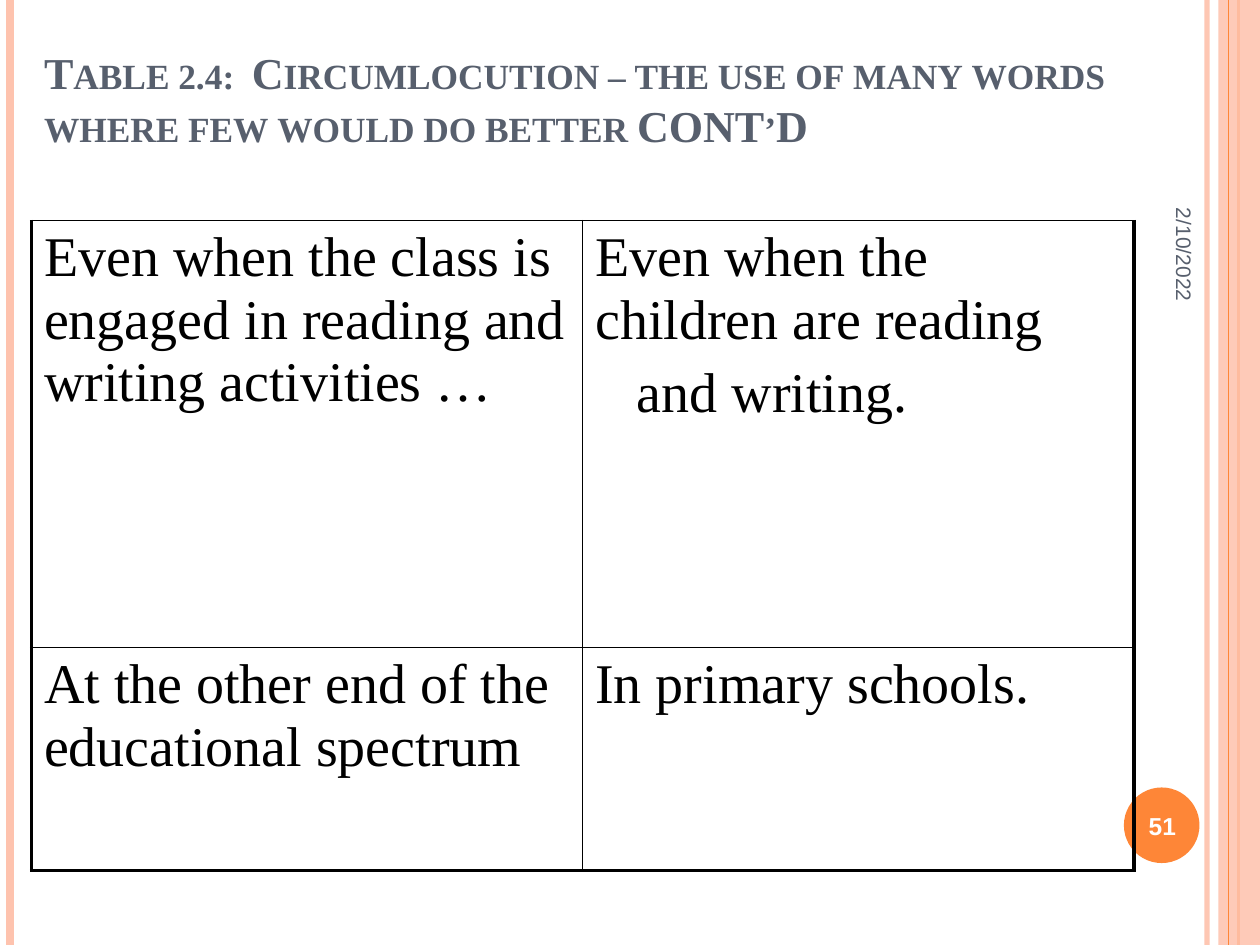
from dataclasses import dataclass

from lxml import etree
from pptx import Presentation
from pptx import util as u
from pptx.dml.color import RGBColor
from pptx.enum import shapes, text
from pptx.oxml import ns

Inches, Pt = u.Inches, u.Pt


@dataclass(frozen=True)
class Theme:
    accent: str = "FE8637"
    pale: str = "FEC3AE"
    heading: str = "575F6D"
    ink: str = "000000"
    light: str = "FFFFFF"
    serif: str = "Times New Roman"
    sans: str = "Arial"
    title_size: float = 25.2
    cell_size: float = 32
    date_size: float = 12
    number_size: float = 14
    thin: float = 1
    thick: float = 2.25


THEME = Theme()
TITLE = ("Table 2.4:  Circumlocution – the use of many words "
         "where few would do better CONT’D")
# Each cell is a list of (paragraph, left indent in inches).
ROWS = [
    [[("Even when the class is engaged in reading and writing activities …", 0)],
     [("Even when the children are reading", 0), ("and writing.", 0.33)]],
    [[("At the other end of the educational spectrum", 0)],
     [("In primary schools.", 0)]],
]
ROW_HEIGHTS = [3.39, 1.77]


def color(value):
    return RGBColor.from_string(value)


def style(para, name, size, tint, bold=False):
    font = para.font
    font.name, font.size, font.bold = name, Pt(size), bold
    font.color.rgb = color(tint)


def set_opacity(properties, percent):
    """Make the solid fill inside the given properties partly transparent."""
    tint = properties.find(".//" + ns.qn("a:srgbClr"))
    etree.SubElement(tint, ns.qn("a:alpha"), val=str(percent * 1000))


def add_stripe(page, x, height, tint, width, opacity=100):
    stripe = page.shapes.add_connector(
        shapes.MSO_CONNECTOR.STRAIGHT, Inches(x), 0, Inches(x), Inches(height))
    stripe.line.color.rgb = color(tint)
    stripe.line.width = Pt(width)
    properties = stripe._element.spPr
    if opacity < 100:
        set_opacity(properties, opacity)
    etree.SubElement(properties, ns.qn("a:effectLst"))


def add_filled(page, kind, box, tint):
    shape = page.shapes.add_shape(kind, *map(Inches, box))
    shape.shadow.inherit = False
    shape.fill.solid()
    shape.fill.fore_color.rgb = color(tint)
    shape.line.fill.background()
    return shape


def add_side_bands(page, width, height):
    add_stripe(page, width - 0.42, height, THEME.pale, 3, 93)
    add_stripe(page, 0.08, height, THEME.pale, 4.5)
    add_stripe(page, width - 0.17, height, THEME.accent, 1.5)
    band = add_filled(page, shapes.MSO_SHAPE.RECTANGLE,
                      (width - 0.33, 0, 0.33, height), THEME.pale)
    set_opacity(band._element.spPr, 87)
    add_stripe(page, width - 0.25, height, THEME.accent, 0.75)


def place_title(page, box):
    title = page.shapes.title
    title.left, title.top, title.width, title.height = map(Inches, box)
    frame = title.text_frame
    frame.text = TITLE
    frame.word_wrap = True
    frame.auto_size = text.MSO_AUTO_SIZE.NONE
    frame.vertical_anchor = text.MSO_ANCHOR.BOTTOM
    para = frame.paragraphs[0]
    para.alignment = text.PP_ALIGN.LEFT
    style(para, THEME.serif, THEME.title_size, THEME.heading, bold=True)
    para.runs[0].font._element.set("cap", "small")


def set_borders(cell, widths):
    """Draw the left, right, top and bottom edges with widths in points."""
    properties = cell._tc.get_or_add_tcPr()
    for index, (side, width) in enumerate(zip("LRTB", widths)):
        edge = etree.Element(ns.qn("a:ln" + side), w=str(Pt(width)))
        fill = etree.SubElement(edge, ns.qn("a:solidFill"))
        etree.SubElement(fill, ns.qn("a:srgbClr"), val=THEME.ink)
        properties.insert(index, edge)


def fill_cell(cell, content):
    cell.fill.background()
    frame = cell.text_frame
    for index, (words, indent) in enumerate(content):
        para = frame.add_paragraph() if index else frame.paragraphs[0]
        para.text = words
        style(para, THEME.serif, THEME.cell_size, THEME.ink)
        if index:
            para.space_before = Pt(0.2 * THEME.cell_size)
        if indent:
            para._p.get_or_add_pPr().set("marL", str(Inches(indent)))


def add_comparison(page, box):
    row_count, column_count = len(ROWS), len(ROWS[0])
    table = page.shapes.add_table(row_count, column_count, *map(Inches, box)).table
    table.first_row = table.horz_banding = False
    for row, height in zip(table.rows, ROW_HEIGHTS):
        row.height = Inches(height)
    for r, contents in enumerate(ROWS):
        for c, content in enumerate(contents):
            cell = table.cell(r, c)
            fill_cell(cell, content)
            outer = (c == 0, c == column_count - 1, False, r == row_count - 1)
            set_borders(cell, [THEME.thick if edge else THEME.thin for edge in outer])


def add_label(page, box, words, align, *font, bold=False):
    label = page.shapes.add_textbox(*map(Inches, box))
    frame = label.text_frame
    frame.word_wrap = True
    frame.vertical_anchor = text.MSO_ANCHOR.MIDDLE
    para = frame.paragraphs[0]
    para.text = words
    para.alignment = align
    style(para, *font, bold=bold)
    return label


def add_date(page, box):
    date = add_label(page, box, "2/10/2022", text.PP_ALIGN.RIGHT,
                     THEME.sans, THEME.date_size, THEME.heading)
    date.rotation = 90


def add_page_number(page, box):
    add_label(page, box, "51", text.PP_ALIGN.CENTER,
              THEME.sans, THEME.number_size, THEME.light, bold=True)


def main():
    deck = Presentation()
    width, height = 10, 7.5
    deck.slide_width, deck.slide_height = Inches(width), Inches(height)
    page = deck.slides.add_slide(deck.slide_layouts.get_by_name("Title Only"))
    page.background.fill.solid()
    page.background.fill.fore_color.rgb = color(THEME.light)
    add_side_bands(page, width, height)
    add_filled(page, shapes.MSO_SHAPE.OVAL, (8.92, 6.25, 0.6, 0.6), THEME.accent)
    place_title(page, (0.25, 0.3, 9, 0.95))
    add_comparison(page, (0.25, 1.75, 8.75, sum(ROW_HEIGHTS)))
    add_date(page, (8.3, 1.18, 2.2, 0.42))
    add_page_number(page, (8.89, 6.27, 0.67, 0.57))
    deck.save("out.pptx")


if __name__ == "__main__":
    main()
